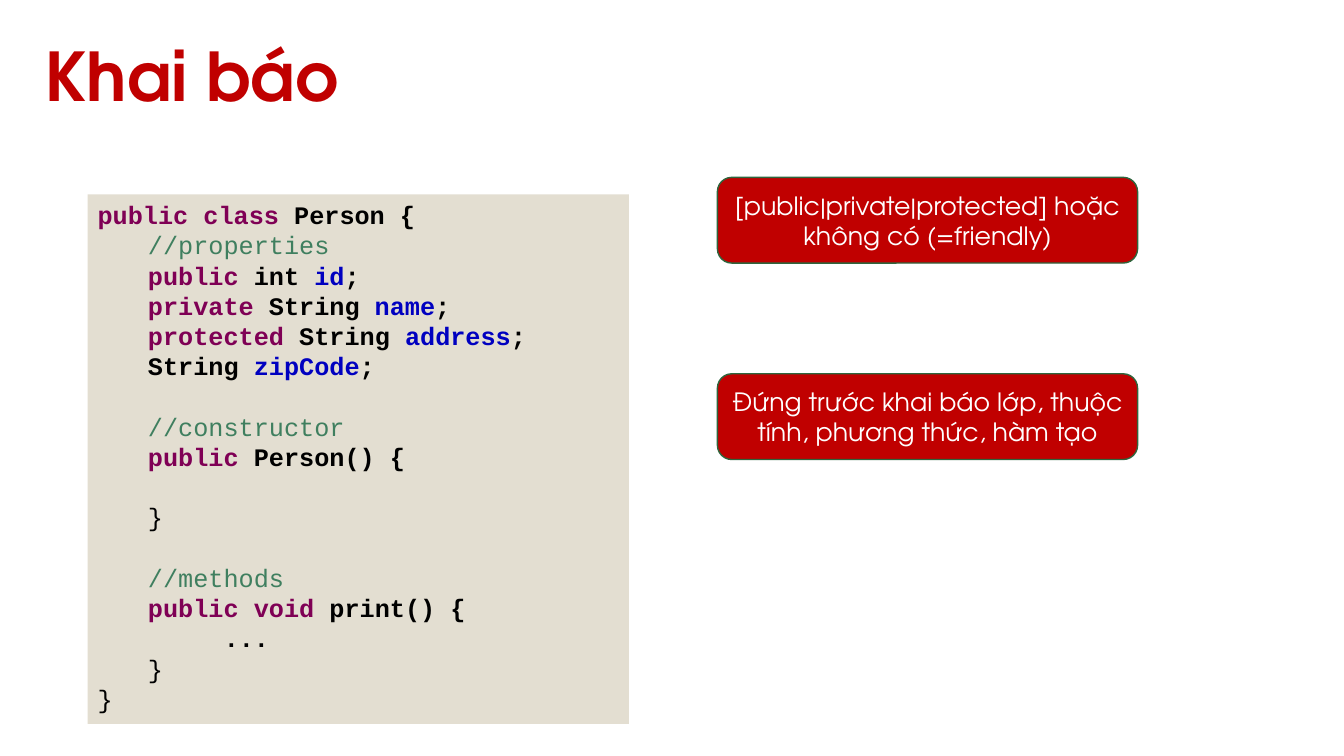
from dataclasses import dataclass

from pptx import Presentation
from pptx import util as u
from pptx.dml.color import RGBColor
from pptx.enum import shapes, text


@dataclass(frozen=True)
class Theme:
    heading_font: str = "TeX Gyre Adventor"
    code_font: str = "Courier New"
    title_size: int = 48
    body_size: int = 18
    code_pitch: float = 21.6
    red: str = "C00000"
    white: str = "FFFFFF"
    panel: str = "E3DED1"
    border: str = "2E653D"
    keyword: str = "7F0055"
    comment: str = "3F7F5F"
    field: str = "0000C0"
    plain: str = "000000"


THEME = Theme()
# Token style: colour, bold
KEYWORD = (THEME.keyword, True)
COMMENT = (THEME.comment, False)
FIELD = (THEME.field, True)
PLAIN = (THEME.plain, True)
BRACE = (THEME.plain, False)

MEMBER, BODY = 1.27, 3.18  # code indents in cm


def declaration(modifier, type_name, field):
    tokens = [(modifier, KEYWORD)] if modifier else []
    gap = " " if modifier else ""
    tokens += [(f"{gap}{type_name} ", PLAIN), (field, FIELD), (";", PLAIN)]
    return MEMBER, 0, tokens


# Each line: indent, empty lines above, tokens
PERSON_CLASS = [
    (0, 0, [("public class", KEYWORD), (" Person {", PLAIN)]),
    (MEMBER, 0, [("//properties", COMMENT)]),
    declaration("public", "int", "id"),
    declaration("private", "String", "name"),
    declaration("protected", "String", "address"),
    declaration("", "String", "zipCode"),
    (MEMBER, 1, [("//constructor", COMMENT)]),
    (MEMBER, 0, [("public", KEYWORD), (" Person() {", PLAIN)]),
    (MEMBER, 1, [("}", BRACE)]),
    (MEMBER, 1, [("//methods", COMMENT)]),
    (MEMBER, 0, [("public void", KEYWORD), (" print() {", PLAIN)]),
    (BODY, 0, [("...", PLAIN)]),
    (MEMBER, 0, [("}", BRACE)]),
    (0, 0, [("}", BRACE)]),
]

ACCESS_NOTES = [
    "[public|private|protected] hoặc không có (=friendly)",
    "Đứng trước khai báo lớp, thuộc tính, phương thức, hàm tạo",
]


class SlideBuilder:
    def __init__(self, slide, theme):
        self.slide = slide
        self.theme = theme

    def add_run(self, paragraph, words, font, size, color, bold=False):
        run = paragraph.add_run()
        run.text = words
        run.font.name = font
        run.font.size = u.Pt(size)
        run.font.bold = bold
        run.font.color.rgb = RGBColor.from_string(color)

    def add_box(self, kind, bounds, fill, border=None):
        box = self.slide.shapes.add_shape(kind, *map(u.Cm, bounds))
        box.shadow.inherit = False
        box.fill.solid()
        box.fill.fore_color.rgb = RGBColor.from_string(fill)
        if border:
            box.line.color.rgb = RGBColor.from_string(border)
            box.line.width = u.Pt(1)
        else:
            box.line.fill.background()
        box.text_frame.word_wrap = True
        return box.text_frame

    def add_title(self, words, bounds):
        frame = self.slide.shapes.add_textbox(*map(u.Cm, bounds)).text_frame
        frame.word_wrap = True
        frame.vertical_anchor = text.MSO_ANCHOR.MIDDLE
        frame.margin_left = frame.margin_right = 0
        frame.margin_top = frame.margin_bottom = 0
        paragraph = frame.paragraphs[0]
        paragraph.line_spacing = 0.85
        self.add_run(paragraph, words, self.theme.heading_font,
                     self.theme.title_size, self.theme.red, bold=True)

    def add_code(self, lines, bounds):
        frame = self.add_box(shapes.MSO_SHAPE.RECTANGLE, bounds, self.theme.panel)
        frame.vertical_anchor = text.MSO_ANCHOR.TOP
        pitch = self.theme.code_pitch
        for number, (indent, gap, tokens) in enumerate(lines):
            paragraph = frame.add_paragraph() if number else frame.paragraphs[0]
            paragraph.alignment = text.PP_ALIGN.LEFT
            paragraph.line_spacing = u.Pt(pitch)
            paragraph.space_before = u.Pt(gap * pitch)
            properties = paragraph._p.get_or_add_pPr()
            properties.set("marL", str(int(u.Cm(indent))))
            properties.set("indent", "0")
            for words, (color, bold) in tokens:
                self.add_run(paragraph, words, self.theme.code_font,
                             self.theme.body_size, color, bold)

    def add_note(self, words, bounds):
        frame = self.add_box(shapes.MSO_SHAPE.ROUNDED_RECTANGLE, bounds,
                             self.theme.red, self.theme.border)
        frame.vertical_anchor = text.MSO_ANCHOR.MIDDLE
        paragraph = frame.paragraphs[0]
        paragraph.alignment = text.PP_ALIGN.CENTER
        self.add_run(paragraph, words, self.theme.heading_font,
                     self.theme.body_size, self.theme.white)


def main():
    deck = Presentation()
    deck.slide_width, deck.slide_height = u.Cm(33.87), u.Cm(19.05)
    builder = SlideBuilder(deck.slides.add_slide(deck.slide_layouts[6]), THEME)
    builder.add_title("Khai báo", (1.14, 1.52, 31.57, 1.02))
    builder.add_code(PERSON_CLASS, (2.21, 4.9, 13.64, 13.34))
    for row, note in enumerate(ACCESS_NOTES):
        builder.add_note(note, (18.08, 4.47 + row * 4.95, 10.59, 2.16))
    deck.save("out.pptx")


if __name__ == "__main__":
    main()
